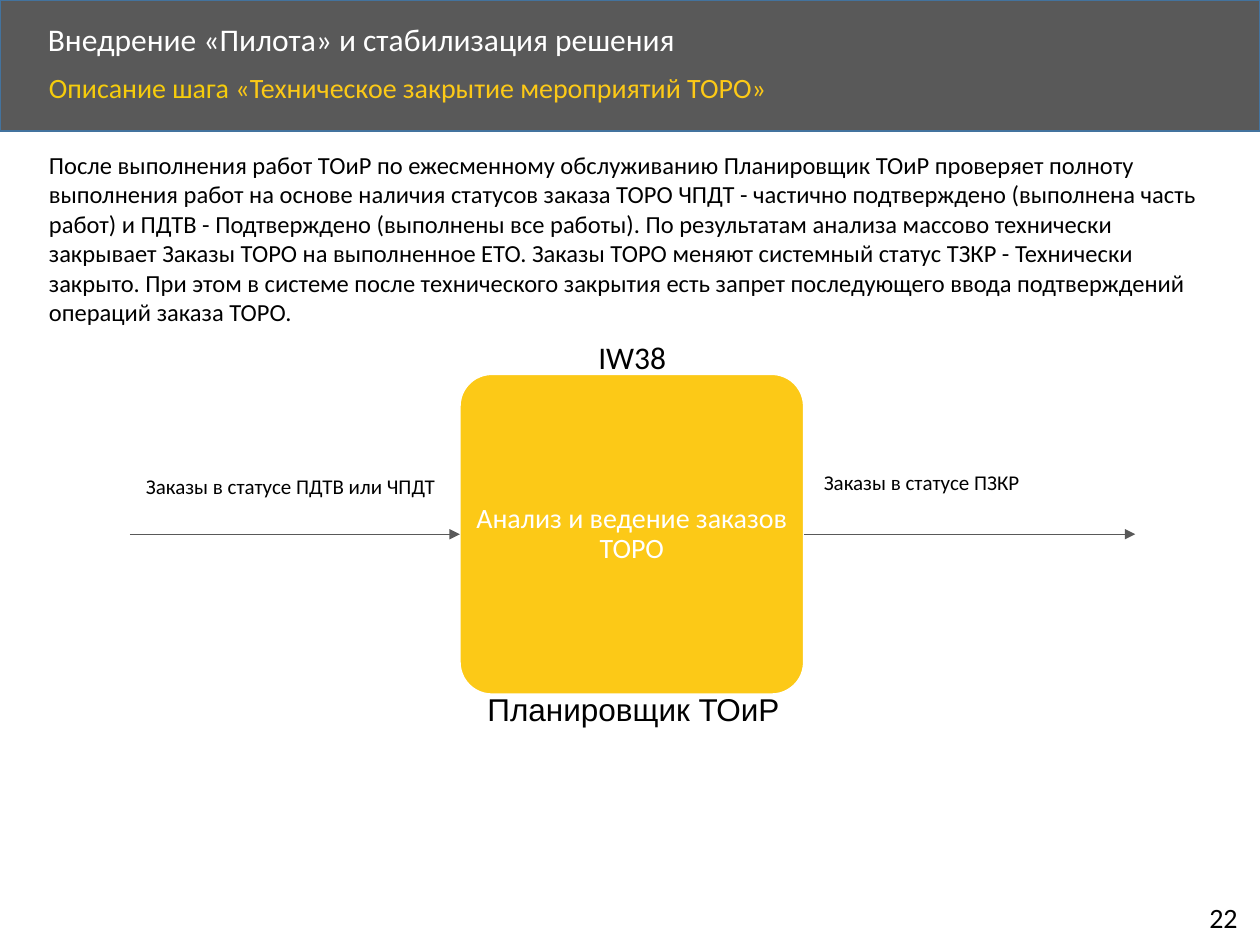
"""Build the slide on technical closing of maintenance orders."""
from lxml import etree
from pptx import Presentation
from pptx.dml.color import RGBColor
from pptx.enum.shapes import MSO_CONNECTOR, MSO_SHAPE
from pptx.enum.text import MSO_ANCHOR as Anchor, MSO_AUTO_SIZE as AutoSize, PP_ALIGN as Align
from pptx.oxml.ns import qn
from pptx.util import Inches, Pt

WHITE = RGBColor(0xFF, 0xFF, 0xFF)
BLACK = RGBColor(0x00, 0x00, 0x00)
GRAY = RGBColor(0x59, 0x59, 0x59)
BLUE = RGBColor(0x43, 0x73, 0x9E)
YELLOW = RGBColor(0xFC, 0xC9, 0x17)
DARK_YELLOW = RGBColor(0xF6, 0xCC, 0x0C)


def write(shape, runs, size, font="Calibri", frame_format=None, paragraph_format=None):
    frame = shape.text_frame
    frame.word_wrap = True
    for name, value in (frame_format or {}).items():
        setattr(frame, name, value)
    paragraph = frame.paragraphs[0]
    for name, value in (paragraph_format or {}).items():
        setattr(paragraph, name, value)
    for text, color in runs:
        run = paragraph.add_run()
        run.text = text
        run.font.name = font
        run.font.size = Pt(size)
        run.font.color.rgb = color


def add_box(kind, box, fill, line):
    shape = slide.shapes.add_shape(kind, *map(Inches, box))
    shape.shadow.inherit = False
    shape.fill.solid()
    shape.fill.fore_color.rgb = fill
    shape.line.color.rgb = line
    shape.line.width = Pt(1)
    return shape


presentation = Presentation()
presentation.slide_width = Inches(10)
presentation.slide_height = Inches(7.5)
slide = presentation.slides.add_slide(presentation.slide_layouts[5])

header = add_box(MSO_SHAPE.RECTANGLE, (0, 0, 10, 1.04), GRAY, BLUE)
title = slide.shapes.title
title._element.addprevious(header._element)
title.left, title.top, title.width, title.height = map(Inches, (0.28, 0.14, 8.07, 0.38))
write(title, [("Внедрение «Пилота» и стабилизация решения", WHITE)], 18,
      frame_format={"vertical_anchor": Anchor.MIDDLE, "auto_size": AutoSize.NONE},
      paragraph_format={"alignment": Align.LEFT, "line_spacing": 0.9})

subtitle = slide.shapes.add_textbox(*map(Inches, (0.29, 0.54, 8.65, 0.45)))
write(subtitle, [("Описание шага ", DARK_YELLOW),
                 ("«Техническое закрытие мероприятий ТОРО»", YELLOW)], 16,
      paragraph_format={"line_spacing": 0.9})

step = add_box(MSO_SHAPE.ROUNDED_RECTANGLE, (3.65, 2.97, 2.73, 2.54), YELLOW, WHITE)
step.adjustments[0] = 0.1
margins = dict.fromkeys(("margin_left", "margin_right", "margin_top", "margin_bottom"), Inches(0.01))
write(step, [("Анализ и ведение заказов ТОРО", WHITE)], 16,
      frame_format={"vertical_anchor": Anchor.MIDDLE, **margins},
      paragraph_format={"alignment": Align.CENTER, "line_spacing": 0.9})

for start, end in ((1.03, 3.65), (6.38, 9.01)):
    arrow = slide.shapes.add_connector(MSO_CONNECTOR.STRAIGHT, Inches(start), Inches(4.24),
                                       Inches(end), Inches(4.24))
    if end == 3.65:
        arrow.end_connect(step, 1)
    else:
        arrow.begin_connect(step, 3)
    arrow.line.color.rgb = GRAY
    arrow.line.width = Pt(0.5)
    etree.SubElement(arrow.line._get_or_add_ln(), qn("a:tailEnd"), type="triangle")
    etree.SubElement(arrow._element.spPr, qn("a:effectLst"))

DESCRIPTION = (
    "После выполнения работ ТОиР по ежесменному обслуживанию Планировщик ТОиР проверяет полноту "
    "выполнения работ на основе наличия статусов заказа ТОРО ЧПДТ - частично подтверждено "
    "(выполнена часть работ) и ПДТВ - Подтверждено (выполнены все работы). По результатам анализа "
    "массово технически закрывает Заказы ТОРО на выполненное ЕТО. Заказы ТОРО меняют системный "
    "статус ТЗКР - Технически закрыто. При этом в системе после технического закрытия есть запрет "
    "последующего ввода подтверждений операций заказа ТОРО."
)
labels = [
    ("IW38", (4.65, 2.63, 0.75, 0.4), 18, "Calibri", False),
    ("Заказы в статусе ПДТВ или ЧПДТ", (1.06, 3.71, 2.56, 0.3), 12, "Calibri", True),
    ("Заказы в статусе ПЗКР", (6.44, 3.68, 2.57, 0.3), 12, "Calibri", True),
    (DESCRIPTION, (0.29, 1.14, 9.46, 1.75), 14, "Calibri", True),
    ("Планировщик ТОиР", (3.77, 5.43, 2.55, 0.4), 18, "Arial", True),
    ("22", (9.5, 7.1, 0.46, 0.37), 16, "Calibri", False),
]
for text, box, size, font, wrap in labels:
    label = slide.shapes.add_textbox(*map(Inches, box))
    write(label, [(text, BLACK)], size, font,
          {"word_wrap": wrap, "auto_size": AutoSize.SHAPE_TO_FIT_TEXT})

presentation.save("out.pptx")
